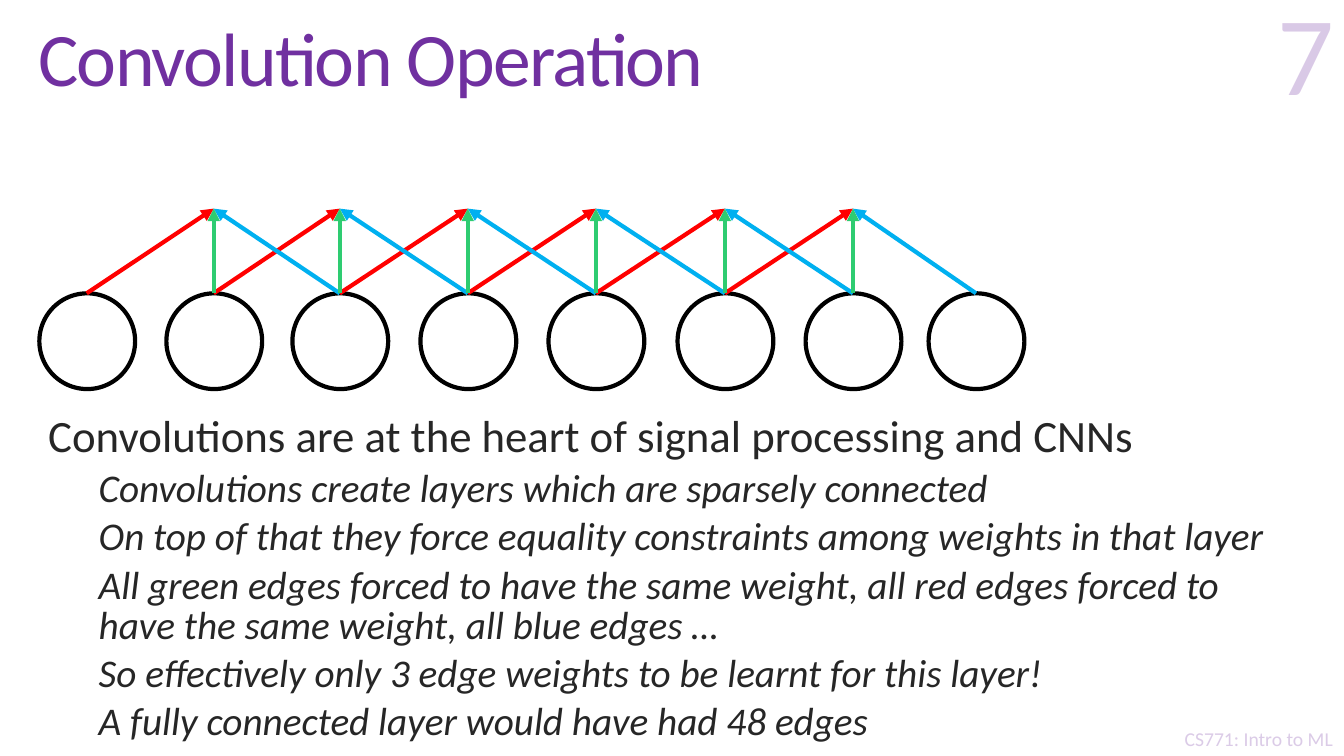
from lxml import etree
from pptx import Presentation
from pptx.dml import color as dml
from pptx.enum import shapes, text
from pptx.oxml import ns
from pptx.util import Pt

PX = 9144
THEME = {
    "font": "Calibri", "purple": "7030A0", "ink": "262626",
    "white": "FFFFFF", "black": "000000",
    "red": "FF0000", "blue": "00B0F0", "green": "2ECC71",
    "title": 54, "lead": 32, "point": 28, "page": 80, "foot": 14, "line": 3,
}
MIDS = [87, 213, 338, 465, 592, 720, 847, 969]
EDGES = [("red", -1), ("blue", 1), ("green", 0)]
LEAD = "Convolutions are at the heart of signal processing and CNNs"
POINTS = [
    "Convolutions create layers which are sparsely connected",
    "On top of that they force equality constraints among weights in that layer",
    "All green edges forced to have the same weight, all red edges forced to "
    "have the same weight, all blue edges …",
    "So effectively only 3 edge weights to be learnt for this layer!",
    "A fully connected layer would have had 48 edges",
]


def emu(*vals):
    """Turn px lengths into EMU."""
    return [val * PX for val in vals]


def rgb(name):
    """Look up a theme colour."""
    return dml.RGBColor.from_string(THEME[name])


def put(obj, vals):
    """Set each attribute of obj from a dict."""
    for key, val in vals.items():
        setattr(obj, key, val)


def fade(node, part):
    """Give the solid colour inside node an opacity in percent."""
    tone = next(node.iter(ns.qn("a:srgbClr")))
    etree.SubElement(tone, ns.qn("a:alpha")).set("val", str(part * 1000))


def frame(slide, box, anchor=text.MSO_ANCHOR.TOP):
    """Add a wrapping text box and return its text frame."""
    area = slide.shapes.add_textbox(*emu(*box)).text_frame
    put(area, {"word_wrap": True, "vertical_anchor": anchor})
    return area


def write(para, words, size, tint, italic=False, **style):
    """Fill a paragraph with one styled run and return the run."""
    put(para, style)
    run = para.add_run()
    run.text = words
    put(run.font, {"name": THEME["font"], "size": Pt(THEME[size]), "italic": italic})
    run.font.color.rgb = rgb(tint)
    return run


def solid(slide, kind, box, edge=None):
    """Add a white shape, outlined when an edge colour is named."""
    shape = slide.shapes.add_shape(kind, *emu(*box))
    shape.shadow.inherit = False
    shape.fill.solid()
    shape.fill.fore_color.rgb = rgb("white")
    if edge:
        shape.line.color.rgb = rgb(edge)
        shape.line.width = Pt(THEME["line"])
    else:
        shape.line.fill.background()
    return shape


def arrow(slide, start, end, tint):
    """Draw a coloured arrow between two points."""
    link = slide.shapes.add_connector(
        shapes.MSO_CONNECTOR.STRAIGHT, *emu(*start, *end))
    link.line.color.rgb = rgb(tint)
    link.line.width = Pt(THEME["line"])
    props = link.line._get_or_add_ln()
    etree.SubElement(props, ns.qn("a:tailEnd")).set("type", "triangle")
    etree.SubElement(props.getparent(), ns.qn("a:effectLst"))


def foot(slide, box):
    """Place the course name at the bottom of a pale corner panel."""
    left, top, wide, high = box
    para = frame(slide, (left, top + high - 34, wide, 34)).paragraphs[0]
    write(para, "CS771: Intro to ML", "foot", "purple",
          alignment=text.PP_ALIGN.CENTER)
    panel = solid(slide, shapes.MSO_SHAPE.RECTANGLE, box)
    fade(panel.fill._xPr, 75)


def head(slide, box):
    """Place the title, and the page number at the right."""
    left, top, wide, high = box
    area = frame(slide, (left, top, wide - 320, high), text.MSO_ANCHOR.MIDDLE)
    run = write(area.paragraphs[0], "Convolution Operation", "title", "purple",
                line_spacing=0.85)
    run.font._element.set("spc", "-120")
    area = frame(slide, (left + wide - 320, top, 320, high), text.MSO_ANCHOR.BOTTOM)
    run = write(area.paragraphs[0], "7", "page", "purple",
                alignment=text.PP_ALIGN.RIGHT)
    fade(run.font._element, 25)


def net(slide, box):
    """Draw the input nodes and the three shared edges into each output."""
    left, top, wide, high = box
    size = 95
    rim = top + high - size
    mids = [left + mid - MIDS[0] + size // 2 for mid in MIDS]
    for mid in mids:
        solid(slide, shapes.MSO_SHAPE.OVAL,
              (mid - size // 2, rim, size, size), "black")
    for tint, step in EDGES:
        for spot in range(1, len(mids) - 1):
            arrow(slide, (mids[spot + step], rim), (mids[spot], top), tint)


def body(slide, box):
    """Write the lead line and its indented points."""
    area = frame(slide, box)
    para = area.paragraphs[0]
    para._p.get_or_add_pPr().set("marL", str(10 * PX))
    write(para, LEAD, "lead", "ink", line_spacing=0.85)
    for words in POINTS:
        para = area.add_paragraph()
        para._p.get_or_add_pPr().set("marL", str(60 * PX))
        write(para, words, "point", "ink", italic=True, level=1,
              line_spacing=0.85, space_before=Pt(6))


def main():
    """Build and save the slide."""
    deck = Presentation()
    put(deck, {"slide_width": 1333 * PX, "slide_height": 750 * PX})
    slide = deck.slides.add_slide(deck.slide_layouts[6])
    foot(slide, (1164, 568, 169, 182))
    head(slide, (28, 4, 1305, 118))
    net(slide, (39, 207, 977, 179))
    body(slide, (28, 408, 1269, 342))
    deck.save("out.pptx")


if __name__ == "__main__":
    main()
